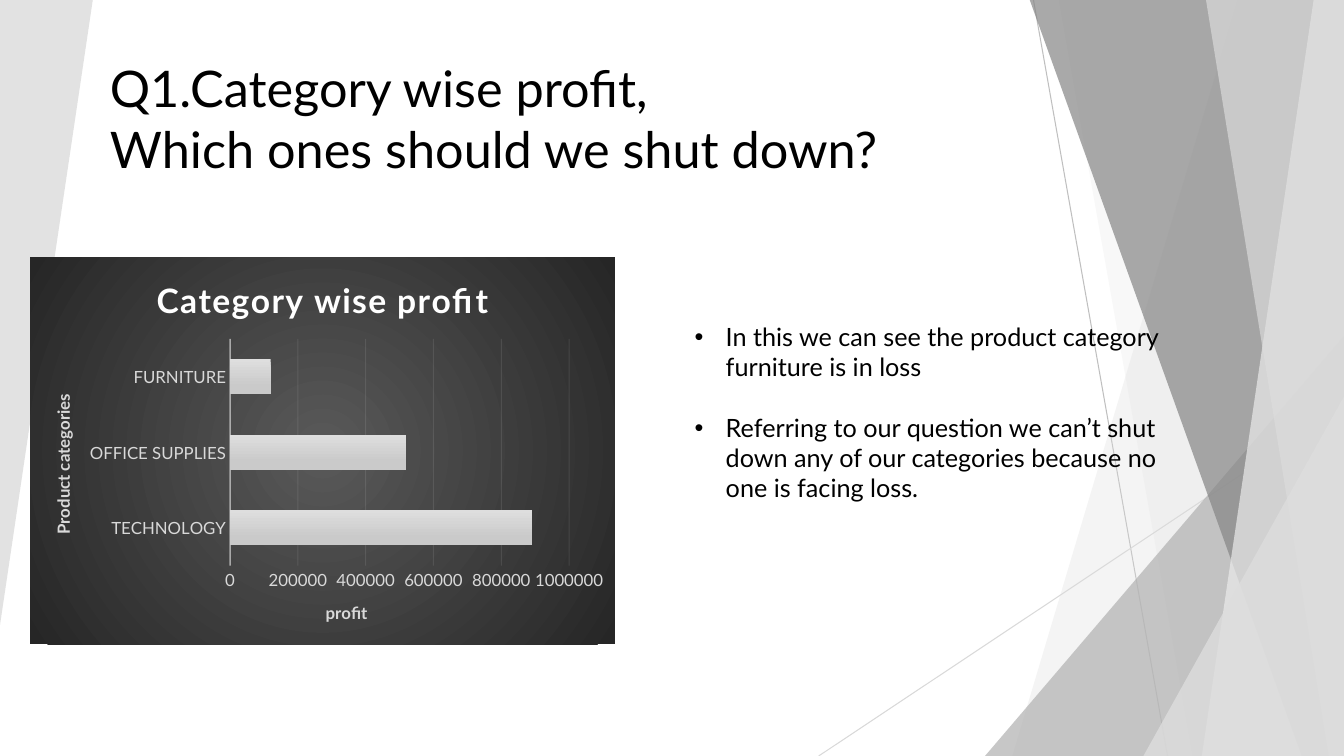
from lxml.etree import SubElement, fromstring
from pptx import Presentation
from pptx.chart.data import CategoryChartData
from pptx.dml.color import RGBColor
from pptx.enum.chart import XL_CHART_TYPE, XL_TICK_MARK
from pptx.enum.shapes import MSO_CONNECTOR, MSO_SHAPE
from pptx.enum.text import MSO_ANCHOR
from pptx.oxml.ns import nsdecls, qn
from pptx.util import Inches, Pt

COLORS = {
    "text": "000000", "title": "FFFFFF", "label": "D9D9D9", "axis": "F2F2F2",
    "line": "BFBFBF", "pale_line": "D9D9D9", "light": "DDDDDD", "middle": "B2B2B2",
    "dark": "858585", "bright": "EBEBEB", "bar_top": "DEDEDE", "bar_bottom": "CACACA",
    "chart_center": "595959", "chart_edge": "262626",
}
WIDTH, HEIGHT, TOP = 13.33, 7.5, -0.01


def rgb(name):
    return RGBColor.from_string(COLORS[name])


class SlideBuilder:
    """Holds the style and the current slide, and draws its elements."""

    font = "Lato"

    def __init__(self, deck):
        self.page = deck.slides.add_slide(deck.slide_layouts[6])

    def style(self, font, size, color, bold=False):
        values = {"name": self.font, "size": Pt(size), "bold": bold}
        for name, value in values.items():
            setattr(font, name, value)
        font.color.rgb = rgb(color)

    def fade(self, root, query, opacity):
        for color in root.xpath(query):
            SubElement(color, qn("a:alpha"), val=str(opacity * 1000))

    def paint(self, shape, color, opacity):
        shape.shadow.inherit = False
        shape.fill.solid()
        shape.fill.fore_color.rgb = rgb(color)
        shape.line.fill.background()
        self.fade(shape.element, "p:spPr/a:solidFill/a:srgbClr", opacity)

    def line(self, start, end, color):
        points = [Inches(value) for value in (*start, *end)]
        connector = self.page.shapes.add_connector(MSO_CONNECTOR.STRAIGHT, *points)
        connector.line.width = Pt(0.75)
        connector.line.color.rgb = rgb(color)
        SubElement(connector.element.spPr, qn("a:effectLst"))

    def panel(self, top_x, bottom_x, color, opacity):
        corners = [(WIDTH, TOP), (WIDTH, HEIGHT), (bottom_x, HEIGHT)]
        outline = self.page.shapes.build_freeform(Inches(top_x), Inches(TOP))
        outline.add_line_segments([(Inches(x), Inches(y)) for x, y in corners], close=True)
        self.paint(outline.convert_to_shape(), color, opacity)

    def triangle(self, bounds, color, opacity, rotation=0):
        shape = self.page.shapes.add_shape(MSO_SHAPE.ISOSCELES_TRIANGLE, *map(Inches, bounds))
        shape.adjustments[0] = 1
        shape.rotation = rotation
        self.paint(shape, color, opacity)

    def text(self, bounds, paragraphs, size, left=0.1, bullets=False, gap=0):
        frame = self.page.shapes.add_textbox(*map(Inches, bounds)).text_frame
        values = {"word_wrap": True, "vertical_anchor": MSO_ANCHOR.TOP, "margin_left": Inches(left)}
        for name, value in values.items():
            setattr(frame, name, value)
        for index, words in enumerate(paragraphs):
            para = frame.add_paragraph() if index else frame.paragraphs[0]
            para.text = words
            for span in para.runs:
                self.style(span.font, size, "text")
            if index:
                para.space_before = Pt(gap)
            if bullets:
                self.bullet(para)

    def bullet(self, para):
        properties = para._p.get_or_add_pPr()
        properties.set("marL", str(Inches(0.31)))
        properties.set("indent", str(Inches(-0.31)))
        SubElement(properties, qn("a:buFont"), typeface="Arial")
        SubElement(properties, qn("a:buChar"), char="•")

    def heading(self, owner, words, size, color):
        frame = getattr(owner, "chart_title" if hasattr(owner, "chart_title") else "axis_title").text_frame
        frame.text = words
        span = frame.paragraphs[0].runs[0]
        self.style(span.font, size, color, True)
        return span

    def axis(self, axis, title):
        self.heading(axis, title, 12, "label")
        self.style(axis.tick_labels.font, 12, "label")
        axis.major_tick_mark = axis.minor_tick_mark = XL_TICK_MARK.NONE

    def bar_chart(self, bounds, title, axis_titles, values):
        data = CategoryChartData()
        data.categories = list(values)
        data.add_series("Series 1", values.values())
        chart = self.page.shapes.add_chart(
            XL_CHART_TYPE.BAR_CLUSTERED, *map(Inches, bounds), data).chart
        self.style(chart.font, 10, "text")
        chart.has_legend = False
        span = self.heading(chart, title, 24, "title")
        span.font._element.set("spc", "100")
        chart.chart_title.include_in_layout = False

        categories, amounts = chart.category_axis, chart.value_axis
        for axis, words in zip((categories, amounts), axis_titles):
            self.axis(axis, words)
        categories.format.line.width = Pt(1)
        categories.format.line.color.rgb = rgb("axis")
        amounts.format.line.fill.background()
        scale = {"minimum_scale": 0, "maximum_scale": 1000000, "major_unit": 200000}
        for name, value in scale.items():
            setattr(amounts, name, value)
        grid = amounts.major_gridlines.format.line
        grid.width = Pt(0.75)
        grid.color.rgb = rgb("axis")
        root = chart.element
        self.fade(root, ".//c:catAx/c:spPr/a:ln//a:srgbClr", 54)
        self.fade(root, ".//c:majorGridlines//a:srgbClr", 10)
        for body in root.xpath(".//c:catAx/c:title//a:bodyPr"):
            body.set("rot", "-5400000")
            body.set("vert", "horz")

        plot = chart.plots[0]
        for name, value in {"gap_width": 115, "overlap": -20, "vary_by_categories": False}.items():
            setattr(plot, name, value)
        fill = plot.series[0].format.fill
        fill.gradient()
        fill.gradient_angle = 270
        for stop, color, position in zip(fill.gradient_stops, ("bar_top", "bar_bottom"), (0, 0.78)):
            stop.color.rgb = rgb(color)
            stop.position = position
        self.chart_background(root)

    def chart_background(self, root):
        stops = "".join(
            f'<a:gs pos="{position}"><a:srgbClr val="{COLORS[name]}"/></a:gs>'
            for position, name in ((0, "chart_center"), (100000, "chart_edge")))
        background = fromstring(
            f'<c:spPr {nsdecls("c", "a")}><a:gradFill><a:gsLst>{stops}</a:gsLst>'
            '<a:path path="circle"><a:fillToRect l="50000" t="50000" r="50000" b="50000"/>'
            '</a:path></a:gradFill><a:ln><a:noFill/></a:ln></c:spPr>')
        root.find(qn("c:chart")).addnext(background)


def main():
    deck = Presentation()
    deck.slide_width, deck.slide_height = Inches(WIDTH), Inches(HEIGHT)
    slide = SlideBuilder(deck)

    slide.line((10.25, 0), (11.58, HEIGHT), "line")
    slide.line((WIDTH, 4.03), (8.12, HEIGHT), "pale_line")
    slide.panel(12.28, 10.04, "light", 30)
    slide.panel(10.5, 11.83, "light", 20)
    slide.triangle((9.77, 3.33, 3.56, 4.17), "middle", 72)
    slide.panel(10.21, 12.91, "dark", 70)
    slide.panel(13.03, 11.92, "bright", 70)
    slide.panel(11.96, 13.18, "light", 65)
    slide.triangle((11.34, 3.93, 1.99, 3.57), "light", 80)
    slide.triangle((0, 0, 0.92, 6.2), "light", 85, rotation=180)

    slide.bar_chart(
        (0.3, 2.55, 5.8, 3.84), "Category wise profit", ("Product categories", "profit"),
        {"TECHNOLOGY": 890000, "OFFICE SUPPLIES": 520000, "FURNITURE": 120000})
    slide.text(
        (0.87, 0.52, 8.32, 1.31),
        ["Q1.Category wise profit,\vWhich ones should we shut down?"], 36, left=0.22)
    slide.text(
        (6.79, 3.14, 5, 1.92),
        ["In this we can see the product category furniture is in loss",
         "Referring to our question we can’t shut down any of our categories "
         "because no one is facing loss."],
        18, bullets=True, gap=21.6)
    deck.save("out.pptx")


if __name__ == "__main__":
    main()
